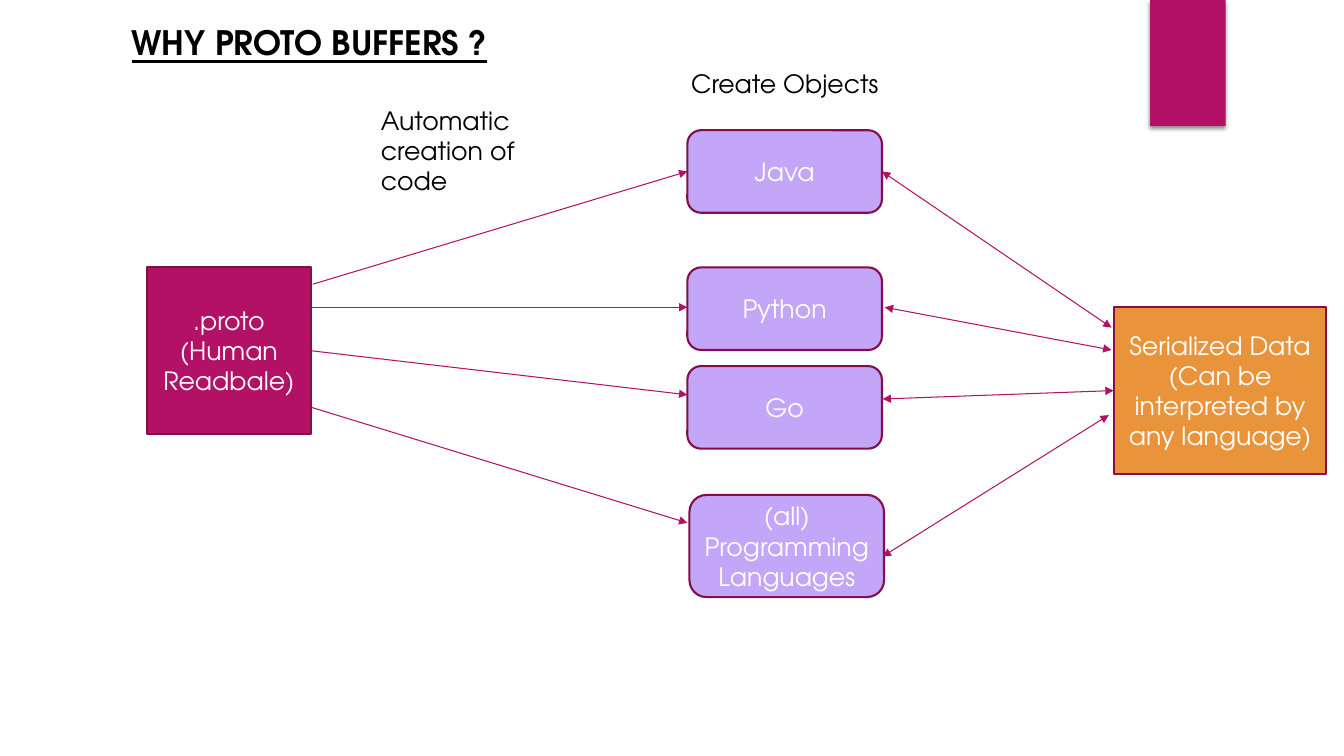
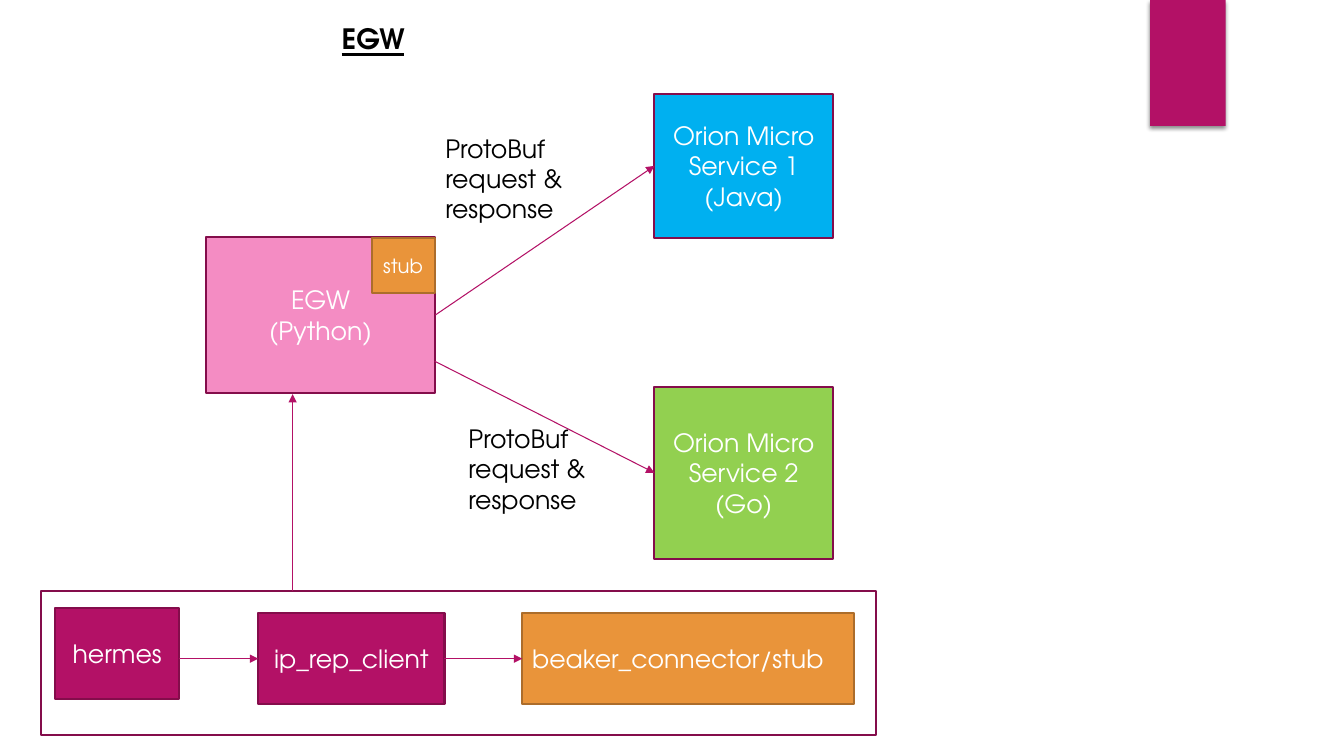
"""Build two slides of box-and-arrow diagrams about protocol buffers."""
from lxml import etree
from pptx import Presentation
from pptx.dml.color import RGBColor
from pptx.enum.shapes import MSO_CONNECTOR, MSO_SHAPE
from pptx.enum.text import MSO_ANCHOR, MSO_AUTO_SIZE, PP_ALIGN
from pptx.oxml import parse_xml
from pptx.oxml.ns import nsdecls, qn
from pptx.util import Pt

FONT = "TeX Gyre Adventor"
COLORS = {
    "accent": "B31166", "border": "840D4B", "lilac": "C3A6F7",
    "orange": "E9943A", "brown": "AC6D2B", "pink": "F48CC3",
    "blue": "00B0F0", "green": "92D050", "white": "FFFFFF", "black": "000000",
}
LEFT, RIGHT = 1, 3
RECT, ROUND = MSO_SHAPE.RECTANGLE, MSO_SHAPE.ROUNDED_RECTANGLE
PROCESS = MSO_SHAPE.FLOWCHART_PROCESS
ACCENT_TAB = (821.5, 0, 54, 90)

LANG_X, LANG_W, LANG_H = 491, 139, 59
SERVICE_X, SERVICE_W = 467.5, 127.5
CLIENT_Y, CLIENT_H = 438, 65
REQUEST = "ProtoBuf request & response"

SLIDES = [
    {
        "title": ("WHY PROTO BUFFERS ?", 24, (87, 12, 420, 36)),
        "labels": [
            ("Automatic creation of code", (265, 71.5, 116.5, 73), True),
            ("Create Objects", (486.5, 45.5, 150.5, 29), False),
        ],
        "boxes": {
            "proto": (RECT, (105, 191, 117, 119), "accent",
                      ".proto\n(Human Readbale)"),
            "java": (ROUND, (LANG_X, 93, LANG_W, LANG_H), "lilac", "Java"),
            "python": (ROUND, (LANG_X, 191, LANG_W, LANG_H), "lilac", "Python"),
            "go": (ROUND, (LANG_X, 261.5, LANG_W, LANG_H), "lilac", "Go"),
            "all": (ROUND, (492.5, 353.5, LANG_W, 73), "lilac",
                    "(all)\nProgramming Languages"),
            "data": (RECT, (795.5, 219.5, 152, 119), "orange",
                     "Serialized Data\n(Can be interpreted by any language)"),
        },
        "arrows": [
            ((223.5, 203), ("java", LEFT), False),
            ((222.5, 219.5), (491, 219.5), False),
            (("proto", RIGHT), (491, 282), False),
            ((222.5, 291), (491, 373.5), False),
            (("java", RIGHT), (794, 234), True),
            ((632, 219.5), (794, 250), True),
            ((630.5, 285), ("data", LEFT), True),
            ((630.5, 397.5), (792, 296.5), True),
        ],
    },
    {
        "title": ("EGW", 20, (237, 11.5, 417, 31.5)),
        "labels": [
            (REQUEST, (311, 91.5, 104.5, 73), True),
            (REQUEST, (327.5, 299, 104.5, 73), True),
        ],
        "boxes": {
            "gateway": (PROCESS, (147, 169, 164, 112), "pink", "EGW\n(Python)"),
            "service 1": (PROCESS, (SERVICE_X, 67, SERVICE_W, 103), "blue",
                          "Orion Micro Service 1\n(Java)"),
            "service 2": (PROCESS, (SERVICE_X, 276.5, SERVICE_W, 122.5), "green",
                          "Orion Micro Service 2\n(Go)"),
            "stub": (PROCESS, (265.5, 170, 45, 39), "orange", "stub",
                     {"size": 14, "line": "brown"}),
            "frame": (RECT, (29, 422, 597, 103), None, ""),
            "hermes": (PROCESS, (39.5, 434, 88.5, CLIENT_H), "accent", "hermes"),
            "client": (PROCESS, (184.5, CLIENT_Y, 133, CLIENT_H), "accent",
                       "ip_rep_client"),
            "connector": (PROCESS, (373, CLIENT_Y, 237, CLIENT_H), "orange",
                          "beaker_connector/stub",
                          {"line": "brown", "align": PP_ALIGN.LEFT}),
        },
        "arrows": [
            (("gateway", RIGHT), ("service 1", LEFT), False),
            ((310.5, 258), ("service 2", LEFT), False),
            ((128, 470.5), ("client", LEFT), False),
            (("client", RIGHT), ("connector", LEFT), False),
            ((209, 422), (209, 281.5), False),
        ],
    },
]


def rgb(name):
    return RGBColor.from_string(COLORS[name])


def points(values):
    return [Pt(v) for v in values]


def write(tf, text, size, color, align=PP_ALIGN.LEFT, strong=False):
    tf.text = text
    for p in tf.paragraphs:
        p.alignment = align
        for r in p.runs:
            r.font.name, r.font.size = FONT, Pt(size)
            r.font.color.rgb = rgb(color)
            if strong:
                r.font.bold = r.font.underline = True


def add_label(slide, text, place, size=18, wrap=True, strong=False):
    tf = slide.shapes.add_textbox(*points(place)).text_frame
    tf.word_wrap = wrap
    tf.auto_size = MSO_AUTO_SIZE.SHAPE_TO_FIT_TEXT
    write(tf, text, size, "black", strong=strong)


def add_box(slide, kind, place, fill, text, style=None):
    style = style or {}
    sp = slide.shapes.add_shape(kind, *points(place))
    sp.shadow.inherit = False
    if fill:
        sp.fill.solid()
        sp.fill.fore_color.rgb = rgb(fill)
    else:
        sp.fill.background()
    sp.line.color.rgb = rgb(style.get("line", "border"))
    sp.line.width = Pt(1.5)
    tf = sp.text_frame
    tf.word_wrap = True
    tf.vertical_anchor = MSO_ANCHOR.MIDDLE
    if text:
        write(tf, text, style.get("size", 18), "white",
              style.get("align", PP_ALIGN.CENTER))
    return sp


def add_arrow(slide, boxes, start, end, both):
    fixed = [(0, 0) if isinstance(e[0], str) else e for e in (start, end)]
    cxn = slide.shapes.add_connector(
        MSO_CONNECTOR.STRAIGHT, *points(fixed[0] + fixed[1]))
    for e, join in ((start, cxn.begin_connect), (end, cxn.end_connect)):
        if isinstance(e[0], str):
            join(boxes[e[0]], e[1])
    cxn.line.color.rgb = rgb("accent")
    cxn.line.width = Pt(0.75)
    ln = cxn.line._get_or_add_ln()
    for tag in ("a:headEnd", "a:tailEnd") if both else ("a:tailEnd",):
        etree.SubElement(ln, qn(tag), type="triangle")
    etree.SubElement(cxn._element.spPr, qn("a:effectLst"))


def add_accent_tab(slide):
    sp = slide.shapes.add_shape(RECT, *points(ACCENT_TAB))
    sp.fill.solid()
    sp.fill.fore_color.rgb = rgb("accent")
    sp.line.fill.background()
    sp._element.spPr.append(parse_xml(
        f'<a:effectLst {nsdecls("a")}>'
        f'<a:outerShdw blurRad="{Pt(3)}" dist="{Pt(2)}" dir="5400000" rotWithShape="0">'
        f'<a:srgbClr val="{COLORS["black"]}"><a:alpha val="45000"/></a:srgbClr>'
        '</a:outerShdw></a:effectLst>'))


def build_slide(prs, content):
    slide = prs.slides.add_slide(prs.slide_layouts[6])
    add_accent_tab(slide)
    title, size, place = content["title"]
    add_label(slide, title, place, size, strong=True)
    boxes = {name: add_box(slide, *box) for name, box in content["boxes"].items()}
    for arrow in content["arrows"]:
        add_arrow(slide, boxes, *arrow)
    for text, place, wrap in content["labels"]:
        add_label(slide, text, place, wrap=wrap)


def main():
    prs = Presentation()
    prs.slide_width, prs.slide_height = Pt(960), Pt(540)
    for content in SLIDES:
        build_slide(prs, content)
    prs.save("out.pptx")


if __name__ == "__main__":
    main()
